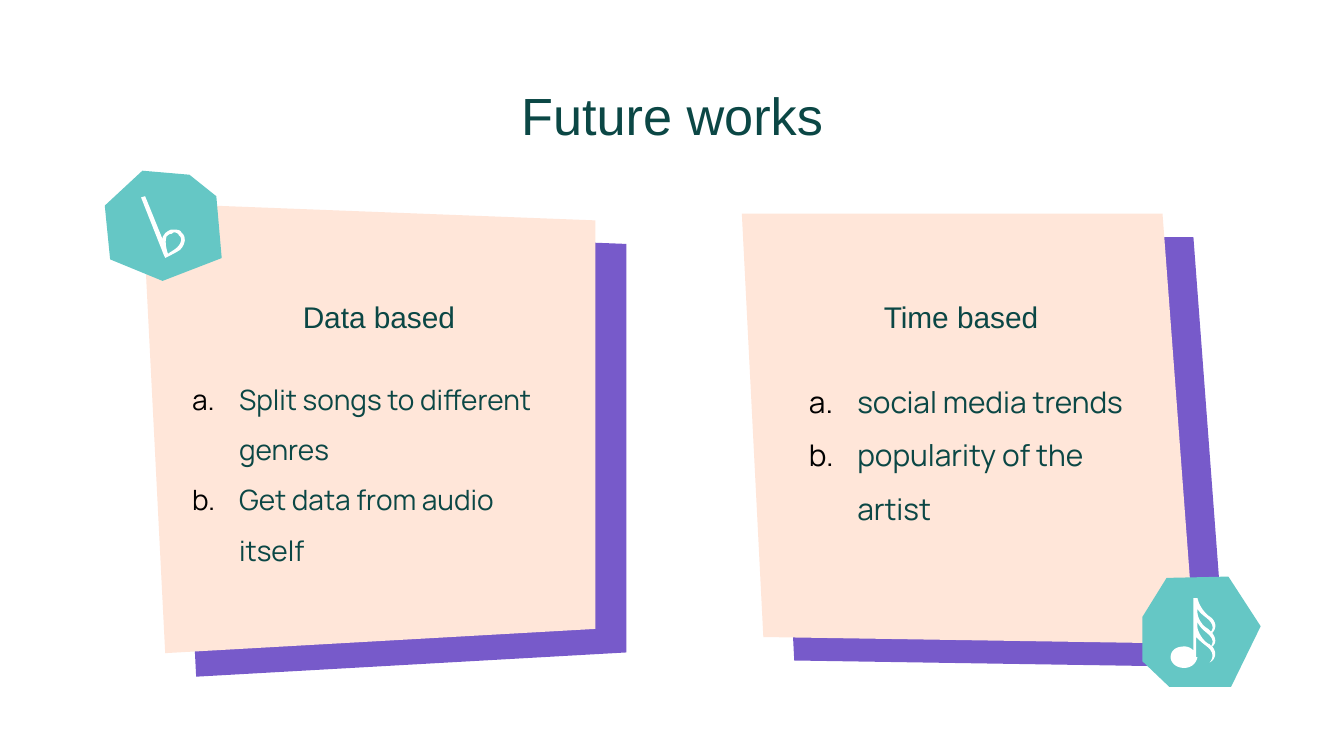
from lxml import etree
from pptx import Presentation
from pptx.dml.color import RGBColor
from pptx.enum import text as t
from pptx.oxml import ns
from pptx.util import Pt

DARK_GREEN = RGBColor(0x0B, 0x47, 0x45)
PURPLE = RGBColor(0x77, 0x5A, 0xCA)
PEACH = RGBColor(0xFF, 0xE6, 0xD9)
TEAL = RGBColor(0x65, 0xC7, 0xC5)
WHITE = RGBColor(0xFF, 0xFF, 0xFF)
UNIT = 0.72
CURVE_STEPS = 8


def draw_outline(shapes, contours, color):
    builder = None
    for start, *segments in contours:
        points = [start]
        for segment in segments:
            if len(segment) == 2:
                points.append(segment)
                continue
            x0, y0 = points[-1]
            x1, y1, x2, y2, x3, y3 = segment
            for step in range(1, CURVE_STEPS + 1):
                b = step / CURVE_STEPS
                a = 1 - b
                weights = (a**3, 3 * a * a * b, 3 * a * b * b, b**3)
                points.append((
                    sum(w * x for w, x in zip(weights, (x0, x1, x2, x3))),
                    sum(w * y for w, y in zip(weights, (y0, y1, y2, y3))),
                ))
        placed = [(Pt(x * UNIT), Pt(y * UNIT)) for x, y in points]
        if builder is None:
            builder = shapes.build_freeform(*placed[0], scale=1.0)
        else:
            builder.move_to(*placed[0])
        builder.add_line_segments(placed[1:], close=True)
    outline = builder.convert_to_shape()
    outline.shadow.inherit = False
    outline.fill.solid()
    outline.fill.fore_color.rgb = color
    outline.line.fill.background()


def write_text(box, lines, size, font, align, top_inset=7.2):
    frame = box.text_frame
    frame.word_wrap = True
    frame.auto_size = t.MSO_AUTO_SIZE.NONE
    frame.vertical_anchor = t.MSO_ANCHOR.TOP
    frame.margin_left = frame.margin_right = frame.margin_bottom = Pt(7.2)
    frame.margin_top = Pt(top_inset)
    frame.text = "\n".join(lines)
    for paragraph in frame.paragraphs:
        paragraph.alignment = align
        for run in paragraph.runs:
            run.font.size = Pt(size)
            run.font.name = font
            run.font.color.rgb = DARK_GREEN


presentation = Presentation()
presentation.slide_width = Pt(720)
presentation.slide_height = Pt(405)
slide = presentation.slides.add_slide(presentation.slide_layouts[5])
shapes = slide.shapes

heading = shapes.title
heading.left, heading.top = Pt(56.2), Pt(35.3)
heading.width, heading.height = Pt(607.6), Pt(45.4)
write_text(heading, ["Future works"], 28, "Arial", t.PP_ALIGN.CENTER, 9.4)

cards = [
    ([(106, 151), (123, 486), (443, 468), (443, 164)],
     "Data based ", 106.6, 85, 218.9, 15, 25.2,
     ["Split songs to different genres", "Get data from audio itself"]),
    ([(552, 159), (568, 474), (889, 479), (865, 159)],
     "Time based", 416.2, 416.2, 196.6, 16, 25.9,
     ["social media trends", "popularity of the artist"]),
]
for corners, topic, topic_left, ideas_left, ideas_width, size, hanging, ideas in cards:
    draw_outline(shapes, [[(x + 23, y + 17.5) for x, y in corners]], PURPLE)
    draw_outline(shapes, [corners], PEACH)

    topic_box = shapes.add_textbox(Pt(topic_left), Pt(150.5), Pt(197.3), Pt(27.4))
    write_text(topic_box, [topic], 16, "Arial", t.PP_ALIGN.CENTER, 9.4)

    ideas_box = shapes.add_textbox(Pt(ideas_left), Pt(188.6), Pt(ideas_width), Pt(113.8))
    write_text(ideas_box, ideas, size, "Manrope", t.PP_ALIGN.LEFT)
    for paragraph in ideas_box.text_frame.paragraphs:
        paragraph.line_spacing = 1.5
        properties = paragraph._p.get_or_add_pPr()
        properties.set("marL", str(Pt(36)))
        properties.set("indent", str(-Pt(hanging)))
        bullet_color = etree.SubElement(properties, ns.qn("a:buClr"))
        etree.SubElement(bullet_color, ns.qn("a:srgbClr"), val="000000")
        etree.SubElement(properties, ns.qn("a:buFont"), typeface="Manrope")
        etree.SubElement(properties, ns.qn("a:buAutoNum"), type="alphaLcPeriod")

flat_badge = [(106, 127), (78, 153), (82, 193), (121, 209),
              (165, 192), (161, 146), (141, 130)]
flat_sign = [
    [(130, 173), (131, 173, 133, 174, 133, 175), (136, 177, 135, 181, 132, 184),
     (130, 186, 126, 188, 125, 189), (123, 183, 123, 179, 124, 176),
     (125, 175, 126, 174, 128, 174), (129, 173, 129, 173, 130, 173)],
    [(108, 146), (105, 147), (122, 190), (123, 192), (125, 191),
     (127, 190, 131, 188, 134, 186), (138, 182, 139, 176, 135, 173),
     (134, 171, 132, 171, 130, 171), (129, 171, 128, 171, 127, 171),
     (125, 172, 123, 173, 122, 175), (121, 176, 121, 177, 121, 178)],
]
note_badge = [(914, 429), (868, 430), (850, 459), (850, 492),
              (870, 511), (916, 511), (938, 466)]
upper_flags = [
    [(891, 453), (892, 455, 894, 457, 898, 460), (903, 464, 903, 468, 901, 470),
     (901, 470, 900, 469, 899, 468), (892, 464, 891, 457, 891, 456)],
    [(891, 463), (892, 465, 894, 468, 898, 471), (903, 475, 903, 478, 901, 481),
     (901, 480, 900, 479, 899, 479), (893, 475, 891, 468, 891, 467)],
]
note_body = [
    (888, 445), (888, 484), (886, 482, 884, 481, 881, 481),
    (875, 481, 871, 484, 871, 489), (871, 493, 875, 497, 881, 497),
    (886, 497, 890, 494, 891, 489), (890, 489), (890, 474),
    (892, 476, 894, 478, 898, 481), (906, 487, 900, 493, 900, 493),
    (904, 491, 906, 486, 902, 481), (905, 479, 905, 475, 902, 471),
    (905, 468, 906, 462, 899, 458), (892, 452, 891, 445, 891, 445),
]
flat_group = shapes.add_group_shape()
draw_outline(flat_group.shapes, [flat_badge], TEAL)
draw_outline(flat_group.shapes, flat_sign, WHITE)
draw_outline(shapes, [note_badge], TEAL)
draw_outline(shapes, upper_flags + [note_body], WHITE)

presentation.save("out.pptx")
